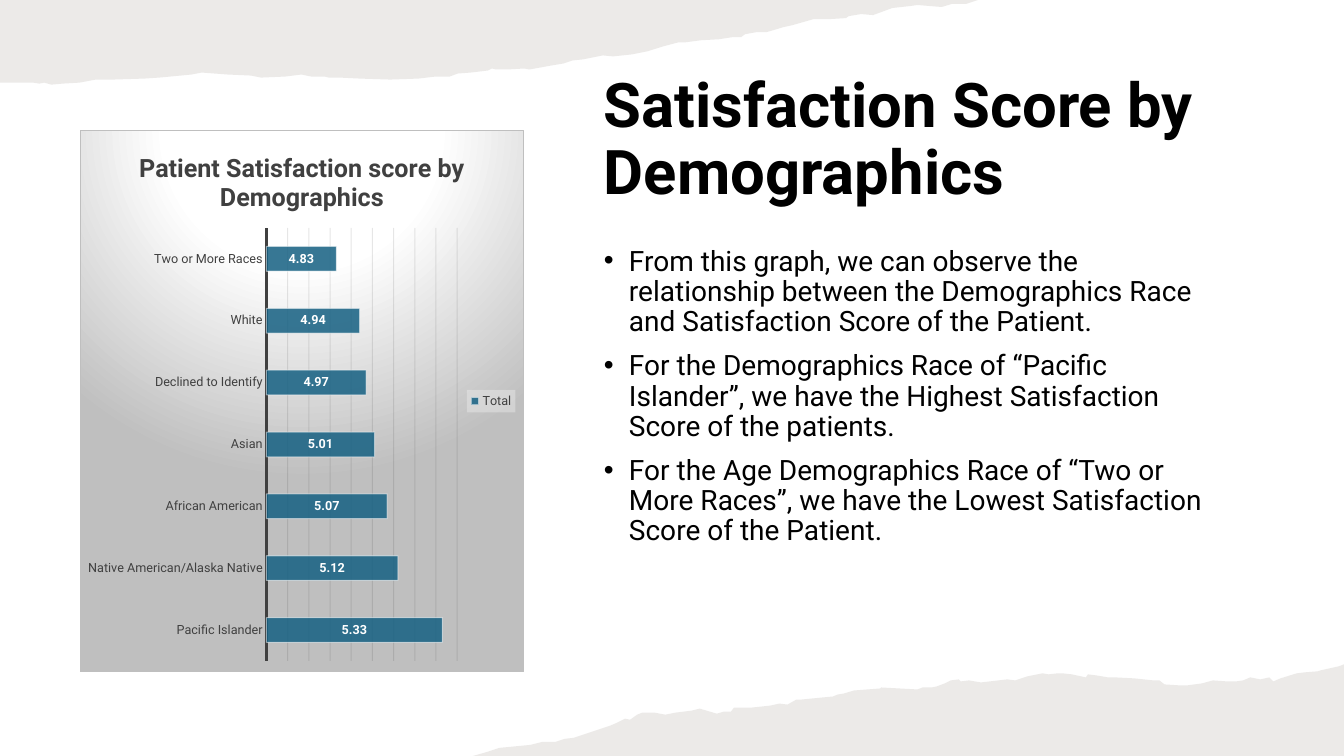
from lxml import etree
from pptx import Presentation
from pptx import util as u
from pptx.chart.data import CategoryChartData
from pptx.dml.color import RGBColor
from pptx.enum import chart as charts, text
from pptx.oxml import parse_xml
from pptx.oxml.ns import nsdecls, qn

# Outlines in hundredths of an inch
TOP_PAPER = [
    (0, 0), (970, 0), (967, 1), (958, 4), (944, 4), (934, 7), (910, 5), (903, 6),
    (885, 8), (866, 15), (854, 14), (842, 16), (839, 18), (823, 19), (807, 19),
    (786, 25), (777, 27), (767, 30), (760, 32), (750, 32), (739, 34), (735, 37),
    (726, 37), (713, 39), (695, 40), (680, 42), (673, 42), (658, 46), (642, 51),
    (627, 54), (608, 56), (598, 55), (578, 59), (568, 60), (559, 63), (547, 65),
    (536, 67), (525, 69), (520, 68), (503, 69), (492, 69), (488, 68), (484, 70),
    (467, 72), (454, 73), (446, 76), (432, 76), (415, 78), (387, 79), (357, 78),
    (337, 77), (326, 77), (322, 76), (309, 76), (299, 74), (283, 76), (259, 77),
    (249, 75), (226, 74), (200, 72), (190, 74), (158, 77), (143, 78), (112, 79),
    (95, 79), (79, 82), (62, 83), (51, 84), (44, 82), (39, 83), (33, 82), (0, 82),
]
BOTTOM_PAPER = [
    (1333, 659), (1333, 750), (469, 750), (476, 748), (483, 746), (495, 742),
    (526, 739), (538, 736), (551, 736), (560, 733), (569, 732), (575, 730),
    (590, 725), (605, 720), (612, 717), (620, 713), (625, 714), (632, 709),
    (637, 707), (649, 707), (660, 709), (670, 707), (686, 705), (694, 703),
    (711, 708), (718, 706), (725, 706), (728, 702), (745, 702), (764, 700),
    (773, 698), (781, 699), (790, 694), (795, 694), (815, 692), (826, 691),
    (831, 689), (837, 688), (847, 685), (873, 683), (874, 682), (910, 684),
    (915, 682), (924, 682), (929, 681), (937, 678), (943, 675), (951, 674),
    (953, 676), (961, 675), (973, 677), (999, 674), (1007, 675), (1019, 671),
    (1034, 668), (1040, 669), (1049, 668), (1054, 668), (1063, 669), (1077, 672),
    (1079, 669), (1087, 670), (1099, 672), (1106, 672), (1125, 673), (1144, 675),
    (1150, 675), (1155, 679), (1171, 680), (1177, 680), (1192, 678), (1203, 675),
    (1217, 676), (1226, 676), (1233, 675), (1240, 672), (1250, 674), (1259, 672),
    (1263, 676), (1270, 673), (1286, 668), (1294, 667), (1307, 666), (1310, 665),
    (1328, 661),
]
SCORES = {
    "Pacific Islander": 5.33,
    "Native American/Alaska Native": 5.12,
    "African American": 5.07,
    "Asian": 5.01,
    "Declined to Identify": 4.97,
    "White": 4.94,
    "Two or More Races": 4.83,
}
OBSERVATIONS = [
    "From this graph, we can observe the relationship between the Demographics Race "
    "and Satisfaction Score of the Patient.",
    "For the Demographics Race of “Pacific Islander”, we have the Highest Satisfaction "
    "Score of the patients.",
    "For the Age Demographics Race of “Two or More Races”, we have the Lowest "
    "Satisfaction Score of the Patient.",
]
CHART_AREA = f"""<c:spPr {nsdecls('c', 'a')}>
  <a:gradFill><a:gsLst>
    <a:gs pos="0"><a:srgbClr val="FFFFFF"/></a:gs>
    <a:gs pos="39000"><a:srgbClr val="FFFFFF"/></a:gs>
    <a:gs pos="100000"><a:srgbClr val="BFBFBF"/></a:gs>
  </a:gsLst><a:path path="circle">
    <a:fillToRect l="50000" t="-80000" r="50000" b="180000"/>
  </a:path></a:gradFill>
  <a:ln w="9525"><a:solidFill><a:srgbClr val="BFBFBF"/></a:solidFill></a:ln>
</c:spPr>"""
LEGEND_AREA = f"""<c:spPr {nsdecls('c', 'a')}><a:solidFill>
  <a:srgbClr val="F2F2F2"><a:alpha val="39000"/></a:srgbClr>
</a:solidFill></c:spPr>"""
PLOT_LAYOUT = f"""<c:layout {nsdecls('c')}><c:manualLayout>
  <c:layoutTarget val="inner"/><c:xMode val="edge"/><c:yMode val="edge"/>
  <c:x val="0.42"/><c:y val="0.18"/><c:w val="0.43"/><c:h val="0.8"/>
</c:manualLayout></c:layout>"""


def color(value):
    return RGBColor.from_string(value)


def set_opacity(element, *percents):
    """Give the solid colours inside element, in order, these opacities."""
    for node, percent in zip(element.iter(qn("a:srgbClr")), percents):
        etree.SubElement(node, qn("a:alpha")).set("val", str(percent * 1000))


class SlideBuilder:
    typeface = "Roboto"
    ink = "000000"
    soft_ink = "404040"
    paper = "82766A"
    bar = "156082"

    def __init__(self, slide):
        self.slide = slide

    def style(self, font, size, value, bold=False):
        font.name, font.size, font.bold = self.typeface, u.Pt(size), bold
        font.color.rgb = color(value)

    def torn_paper(self, points):
        builder = self.slide.shapes.build_freeform(*points[0], scale=u.Inches(0.01))
        builder.add_line_segments(points[1:], close=True)
        shape = builder.convert_to_shape()
        shape.shadow.inherit = False
        shape.fill.solid()
        shape.fill.fore_color.rgb = color(self.paper)
        set_opacity(shape.fill._xPr, 15)
        shape.line.fill.background()

    def text_box(self, box, paragraphs, size, bold=False, bullets=False,
                 anchor=text.MSO_ANCHOR.TOP):
        frame = self.slide.shapes.add_textbox(*map(u.Inches, box)).text_frame
        frame.word_wrap = True
        frame.vertical_anchor = anchor
        frame.text = "\n".join(paragraphs)
        for paragraph in frame.paragraphs:
            paragraph.line_spacing = 0.9
            if bullets:
                paragraph.space_before = u.Pt(10)
                properties = paragraph._p.get_or_add_pPr()
                properties.set("marL", str(u.Inches(0.25)))
                properties.set("indent", str(u.Inches(-0.25)))
                etree.SubElement(properties, qn("a:buFont")).set("typeface", "Arial")
                etree.SubElement(properties, qn("a:buChar")).set("char", "•")
            self.style(paragraph.font, size, self.ink, bold)

    def bar_chart(self, box, title, series_name, scores):
        data = CategoryChartData(number_format="0.00")
        data.categories = scores.keys()
        data.add_series(series_name, scores.values())
        chart = self.slide.shapes.add_chart(
            charts.XL_CHART_TYPE.BAR_STACKED, *map(u.Inches, box), data).chart
        self.style(chart.font, 10, self.ink)
        chart._chartSpace.find(qn("c:chart")).addnext(parse_xml(CHART_AREA))

        chart.has_title = True
        chart.chart_title.text_frame.text = title
        self.style(chart.chart_title.text_frame.paragraphs[0].font, 18,
                   self.soft_ink, True)
        self.chart_axes(chart)
        self.chart_bars(chart.plots[0])

        chart.has_legend = True
        legend = chart.legend
        legend.position = charts.XL_LEGEND_POSITION.RIGHT
        legend.include_in_layout = False
        self.style(legend.font, 9, self.soft_ink)
        legend._element.find(qn("c:txPr")).addprevious(parse_xml(LEGEND_AREA))

        plot_area = chart._chartSpace.chart.plotArea
        for layout in plot_area.findall(qn("c:layout")):
            plot_area.remove(layout)
        plot_area.insert(0, parse_xml(PLOT_LAYOUT))

    def chart_axes(self, chart):
        category_axis, value_axis = chart.category_axis, chart.value_axis
        category_axis.major_tick_mark = charts.XL_TICK_MARK.NONE
        self.style(category_axis.tick_labels.font, 9, self.soft_ink)
        category_axis.format.line.color.rgb = color(self.soft_ink)
        category_axis.format.line.width = u.Pt(1.5)
        value_axis.minimum_scale, value_axis.maximum_scale = 4.5, 5.4
        value_axis.major_unit = 0.1
        value_axis.has_major_gridlines = True
        grid = value_axis.major_gridlines.format.line
        grid.color.rgb = color("0D0D0D")
        grid.width = u.Pt(0.75)
        set_opacity(value_axis._element.find(qn("c:majorGridlines")), 10)
        value_axis.visible = False

    def chart_bars(self, plot):
        plot.gap_width, plot.overlap = 150, 100
        plot.vary_by_categories = False
        series = plot.series[0]
        series.format.fill.solid()
        series.format.fill.fore_color.rgb = color(self.bar)
        series.format.line.color.rgb = color("FFFFFF")
        series.format.line.width = u.Pt(0.75)
        set_opacity(series._element, 85, 50)
        labels = series.data_labels
        labels.show_value = True
        labels.position = charts.XL_LABEL_POSITION.CENTER
        labels.number_format = "0.00"
        labels.number_format_is_linked = False
        self.style(labels.font, 9, "FFFFFF", True)


def main():
    presentation = Presentation()
    presentation.slide_width = u.Inches(13.33)
    presentation.slide_height = u.Inches(7.5)
    builder = SlideBuilder(presentation.slides.add_slide(presentation.slide_layouts[6]))
    builder.text_box((5.89, 0.67, 6.36, 1.46), ["Satisfaction Score by Demographics"],
                     44, bold=True, anchor=text.MSO_ANCHOR.MIDDLE)
    builder.torn_paper(TOP_PAPER)
    builder.torn_paper(BOTTOM_PAPER)
    builder.text_box((5.89, 2.4, 6.36, 4.27), OBSERVATIONS, 20, bullets=True)
    builder.bar_chart((0.79, 1.29, 4.41, 5.38),
                      "Patient Satisfaction score by Demographics", "Total", SCORES)
    presentation.save("out.pptx")


if __name__ == "__main__":
    main()
